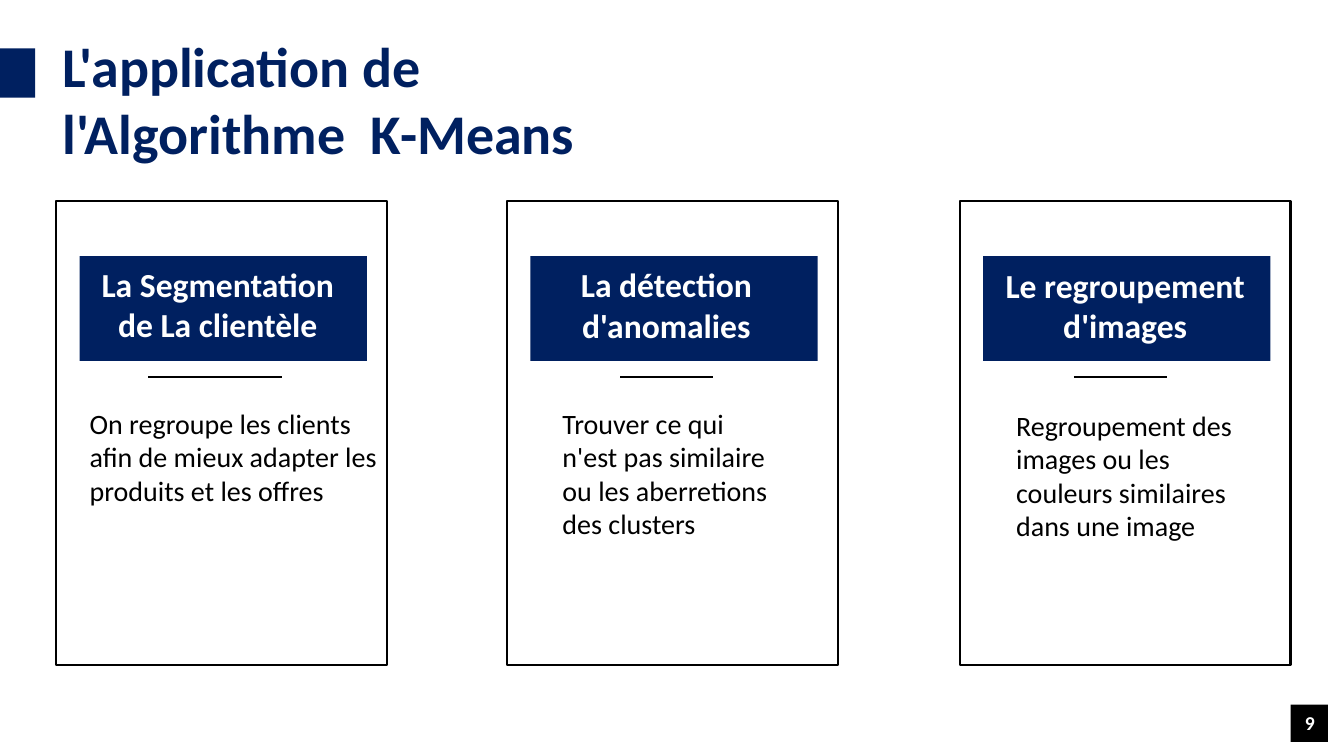
from dataclasses import dataclass

from lxml import etree
from pptx import Presentation
from pptx.dml.color import RGBColor as RGB
from pptx.enum.shapes import MSO_CONNECTOR as CONN, MSO_SHAPE as SHAPE
from pptx.enum.text import MSO_ANCHOR as ANCHOR, PP_ALIGN as ALIGN
from pptx.oxml.ns import qn
from pptx.util import Emu, Pt

PX = 9144  # EMU per px, 100 px to the inch


@dataclass(frozen=True)
class Theme:
    font: str = "Calibri"
    navy: RGB = RGB(0x00, 0x20, 0x60)
    black: RGB = RGB(0, 0, 0)
    white: RGB = RGB(255, 255, 255)
    title: int = 40
    heading: int = 24
    body: int = 20
    number: int = 14
    stroke: float = 1.5


@dataclass(frozen=True)
class Card:
    left: int
    heading: str
    body: str
    # Boxes as (left, top, width, height), left counted from the card's edge
    heading_box: tuple
    body_box: tuple
    rule: tuple  # left, width


THEME = Theme()
CARDS = [
    Card(56, "La Segmentation de La clientèle",
         "On regroupe les clients afin de mieux adapter les produits et les offres",
         (23, 256, 274, 91), (23, 398, 305, 262), (91, 133)),
    Card(503, "La détection d'anomalies",
         "Trouver ce qui n'est pas similaire ou les aberretions des clusters",
         (20, 256, 276, 92), (45, 398, 238, 242), (112, 92)),
    Card(952, "Le regroupement d'images",
         "Regroupement des images ou les couleurs similaires dans une image",
         (32, 257, 264, 91), (46, 400, 267, 260), (113, 92)),
]


def px(*lengths):
    return [Emu(n * PX) for n in lengths]


def add_rect(shapes, box, fill=None, line=None):
    s = shapes.add_shape(SHAPE.RECTANGLE, *px(*box))
    s.shadow.inherit = False
    if fill is None:
        s.fill.background()
    else:
        s.fill.solid()
        s.fill.fore_color.rgb = fill
    if line is None:
        s.line.fill.background()
    else:
        s.line.color.rgb = line
        s.line.width = Pt(THEME.stroke)
    return s


def add_text(shapes, box, text, size, color, bold=False,
             align=ALIGN.LEFT, anchor=ANCHOR.TOP):
    tf = shapes.add_textbox(*px(*box)).text_frame
    tf.word_wrap = True
    tf.vertical_anchor = anchor
    p = tf.paragraphs[0]
    p.text = text
    p.alignment = align
    p.font.name = THEME.font
    p.font.size = Pt(size)
    p.font.bold = bold
    p.font.color.rgb = color
    return tf


def add_rule(shapes, left, top, width):
    c = shapes.add_connector(CONN.STRAIGHT, *px(left, top, left + width, top))
    c.line.color.rgb = THEME.black
    c.line.width = Pt(THEME.stroke)
    etree.SubElement(c._element.spPr, qn("a:effectLst"))


def add_card(slide, card):
    def place(box):
        return (card.left + box[0], *box[1:])

    shapes = slide.shapes.add_group_shape().shapes
    add_rect(shapes, place((0, 199, 328, 461)), line=THEME.black)
    add_rect(shapes, place((23, 254, 285, 104)), fill=THEME.navy)
    add_text(shapes, place(card.heading_box), card.heading, THEME.heading,
             THEME.white, True, ALIGN.CENTER, ANCHOR.MIDDLE)
    add_text(shapes, place(card.body_box), card.body, THEME.body, THEME.black)
    left, width = card.rule
    add_rule(shapes, card.left + left, 374, width)


def add_title(slide, text):
    shapes = slide.shapes.add_group_shape().shapes
    add_rect(shapes, (0, 48, 35, 49), fill=THEME.navy)
    tf = add_text(shapes, (44, 26, 649, 145), text, THEME.title, THEME.navy, True)
    tf.margin_left = px(18)[0]


def add_page_number(slide, number):
    add_rect(slide.shapes, (1280, 699, 37, 37), fill=THEME.black)
    add_text(slide.shapes, (1283, 697, 31, 40), number, THEME.number,
             THEME.white, True, ALIGN.RIGHT, ANCHOR.MIDDLE)


def main():
    prs = Presentation()
    prs.slide_width, prs.slide_height = px(1333, 750)
    slide = prs.slides.add_slide(prs.slide_layouts[6])

    # Three application cards
    for card in CARDS:
        add_card(slide, card)

    # Page number and title
    add_page_number(slide, "9")
    add_title(slide, "L'application de l'Algorithme  K-Means")

    prs.save("out.pptx")


if __name__ == "__main__":
    main()
